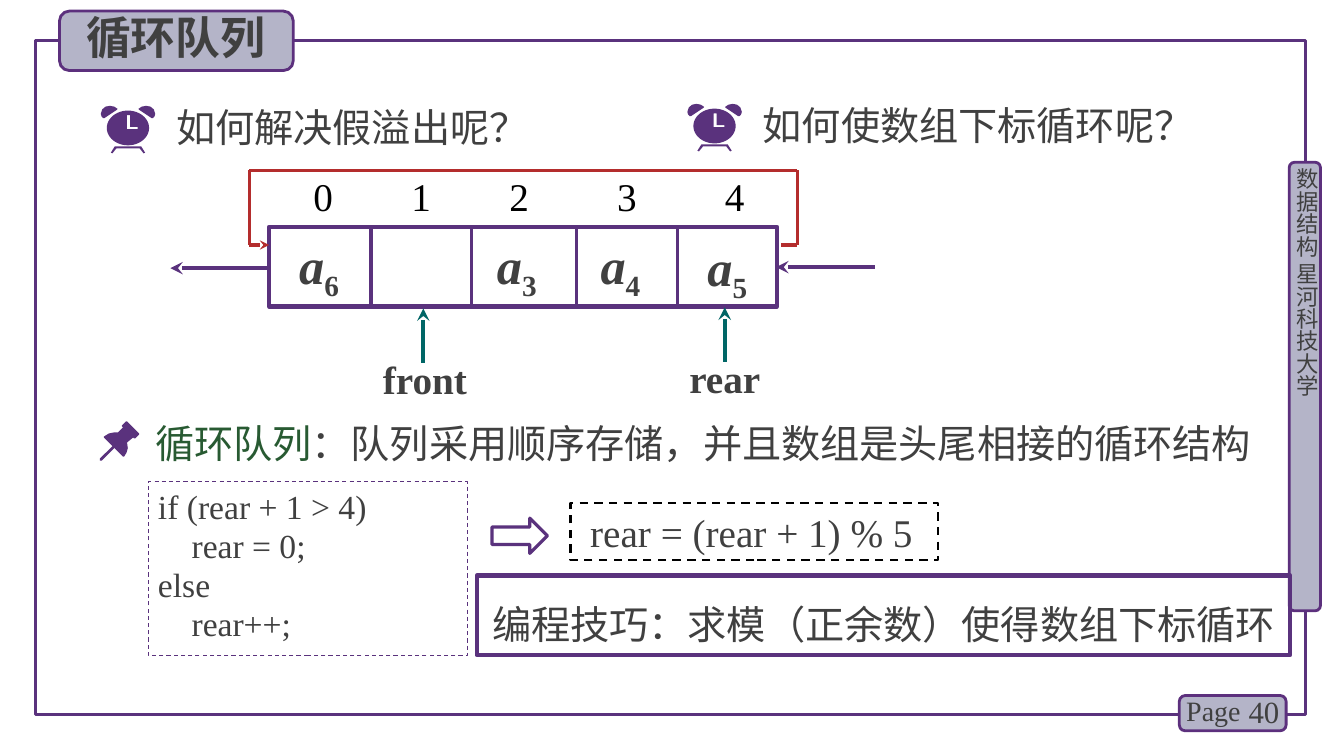
from math import cos, pi, sin

from lxml import etree
from pptx import Presentation
from pptx.dml.color import RGBColor
from pptx.enum.dml import MSO_LINE
from pptx.enum.shapes import MSO_CONNECTOR, MSO_SHAPE
from pptx.enum.text import MSO_ANCHOR, PP_ALIGN
from pptx.oxml.ns import qn
from pptx.util import Pt

PURPLE = RGBColor(0x5A, 0x32, 0x7D)
BADGE_PURPLE = RGBColor(0x5C, 0x30, 0x7D)
BADGE_FILL = RGBColor(0xB4, 0xB4, 0xC8)
GREY = RGBColor(0x40, 0x40, 0x40)
BLACK = RGBColor(0, 0, 0)
TEAL = RGBColor(0, 0x66, 0x66)
RED = RGBColor(0xB4, 0x2D, 0x2D)
GREEN = RGBColor(0x28, 0x5A, 0x32)
SANS, SERIF = "Noto Sans CJK SC", "Times New Roman"
RECT, ROUND, ARROW = MSO_SHAPE.RECTANGLE, MSO_SHAPE.ROUNDED_RECTANGLE, MSO_SHAPE.RIGHT_ARROW
STRAIGHT = MSO_CONNECTOR.STRAIGHT
DASH = MSO_LINE.DASH
LEFT, CENTER, RIGHT = PP_ALIGN.LEFT, PP_ALIGN.CENTER, PP_ALIGN.RIGHT
TOP, MIDDLE = MSO_ANCHOR.TOP, MSO_ANCHOR.MIDDLE

deck = Presentation()
deck.slide_width, deck.slide_height = Pt(960), Pt(540)
page = deck.slides.add_slide(deck.slide_layouts[6])
shapes = page.shapes


def write(box, lines, size, font=SERIF, color=GREY, bold=False, align=LEFT,
          anchor=TOP, spacing=None):
    """Fill a box with (indent, text) lines in one style; return its paragraphs."""
    frame = box.text_frame
    frame.word_wrap = True
    frame.vertical_anchor = anchor
    for number, (indent, text) in enumerate(lines):
        para = frame.add_paragraph() if number else frame.paragraphs[0]
        para.alignment = align
        if spacing:
            para.line_spacing = Pt(spacing)
        para.font.size, para.font.bold, para.font.name = Pt(size), bold, font
        para.font.color.rgb = color
        properties = para._p.get_or_add_pPr()
        if indent:
            properties.set("marL", str(Pt(indent)))
        etree.SubElement(properties.find(qn("a:defRPr")), qn("a:ea"), typeface=font)
        para.add_run().text = text
    return frame.paragraphs


def draw_icon(left, top, *contours):
    """Draw closed contours, given in points from left and top, as one filled shape."""
    placed = [[((left + x) * 100, (top + y) * 100) for x, y in contour]
              for contour in contours]
    builder = shapes.build_freeform(*placed[0][0], scale=Pt(1) / 100)
    builder.add_line_segments(placed[0][1:])
    for contour in placed[1:]:
        builder.move_to(*contour[0])
        builder.add_line_segments(contour[1:])
    icon = builder.convert_to_shape()
    icon.shadow.inherit = False
    icon.fill.solid()
    icon.fill.fore_color.rgb = PURPLE
    icon.line.fill.background()


# Frame, badges and boxes
boxes = {}
for name, kind, left, top, width, height, fill, color, weight, dash in (
    ("frame", RECT, 25.2, 28.8, 907.2, 481.7, None, PURPLE, 2.25, None),
    ("sidebar", ROUND, 920.9, 115.9, 22.3, 320.4, BADGE_FILL, BADGE_PURPLE, 2, None),
    ("page badge", ROUND, 842.4, 496.8, 76.3, 25.2, BADGE_FILL, BADGE_PURPLE, 2, None),
    ("title badge", ROUND, 42.5, 7.9, 167, 42.5, BADGE_FILL, BADGE_PURPLE, 2, None),
    ("code", RECT, 105.8, 344.2, 228.2, 123.8, None, PURPLE, 0.75, DASH),
    ("tip", RECT, 340.6, 411.1, 581, 56.9, None, PURPLE, 3, None),
    ("formula", RECT, 407.5, 359.3, 262.8, 41, None, BLACK, 1.5, DASH),
    ("implies", ARROW, 351.4, 370.1, 39.6, 25.2, None, PURPLE, 2.25, None),
    ("queue", RECT, 192.2, 162, 362.9, 56.9, None, PURPLE, 3, None),
):
    box = shapes.add_shape(kind, Pt(left), Pt(top), Pt(width), Pt(height))
    box.shadow.inherit = False
    if fill:
        box.fill.solid()
        box.fill.fore_color.rgb = fill
    else:
        box.fill.background()
    box.line.color.rgb = color
    box.line.width = Pt(weight)
    if dash:
        box.line.dash_style = dash
    boxes[name] = box

code_lines = [(0, "if (rear + 1 > 4)"), (24, "rear = 0;"), (0, "else"), (24, "rear++;")]
write(boxes["code"], code_lines, 24, spacing=28)
write(boxes["formula"], [(7, "rear = (rear + 1) % 5")], 28)
write(boxes["tip"], [(0, "编程技巧：求模（正余数）使得数组下标循环")], 28, SANS,
      align=CENTER, anchor=MIDDLE, spacing=45)

# Queue dividers, pointers and the red wrap-around path
dividers = [(x, 162, x, 218.9, PURPLE, 2.25, False) for x in (265, 337, 411.8, 483.8)]
for x1, y1, x2, y2, color, weight, has_head in dividers + [
    (625, 190.8, 554.4, 190.8, PURPLE, 3, True),
    (192.2, 191.5, 121.7, 191.5, PURPLE, 3, True),
    (517.7, 258.5, 517.7, 219.6, TEAL, 3, True),
    (302.4, 259.2, 302.4, 220.3, TEAL, 3, True),
    (178.2, 121.7, 569.5, 121.7, RED, 2.25, False),
    (569.5, 121.7, 569.5, 175, RED, 2.25, False),
    (558, 175, 569.5, 175, RED, 2.25, False),
    (178.2, 121.7, 178.2, 175, RED, 2.25, False),
    (178.2, 175, 192.2, 175, RED, 2.25, True),
]:
    line = shapes.add_connector(STRAIGHT, Pt(x1), Pt(y1), Pt(x2), Pt(y2))
    line.line.color.rgb = color
    line.line.width = Pt(weight)
    if has_head:
        etree.SubElement(line.line._get_or_add_ln(), qn("a:tailEnd"), type="stealth")
    etree.SubElement(line._element.spPr, qn("a:effectLst"))

# Alarm clocks and pushpin
bell = [(6.5, 0), (3.4, 0.6), (1, 2.6), (0, 5.8), (0.5, 7.5), (1.6, 8.8),
        (2.6, 8.8), (11.6, 2.8), (12, 2.2), (9.6, 0.6)]
other_bell = [(38.9 - x, y) for x, y in bell]
legs = [(7.2, 33.5), (10, 29), (28.9, 29), (31.7, 33.5), (30.6, 34),
        (27.8, 30.4), (11.2, 30.4), (8.3, 34)]
face = [(19.4 + 15.1 * cos(step * pi / 24), 15.8 + 12.4 * sin(step * pi / 24))
        for step in range(48)]
hands = [(18.7, 6.7), (20.9, 6.7), (20.9, 15.1), (26.4, 15.1), (26.4, 16.6), (18.7, 16.6)]
for left, top in ((72, 75.6), (491, 74.2)):
    for contours in ([legs], [bell], [other_bell], [face, hands]):
        draw_icon(left, top, *contours)

pin_head = [(28.1, 8.6), (19.4, 0), (18.7, 0), (15.8, 2.9), (15.8, 3.6), (16.6, 4.3),
            (13, 7.9), (10.1, 7.9), (6.5, 8.6), (2.9, 10.8), (2.9, 11.5), (16.6, 25.2),
            (17.3, 25.2), (19.1, 22.3), (20, 19), (19.4, 15.1), (23.8, 11.5),
            (24.5, 12.2), (25.2, 12.2), (28.1, 9.4)]
needle = [(0, 28.1), (0, 26.6), (9.4, 17.3), (10.8, 17.3), (10.8, 18.7), (1.4, 28.1)]
for contour in (pin_head, needle):
    draw_icon(71.3, 301, contour)

# Free-standing text
labels = {}
for name, text, left, top, width, height, size, font, color, bold, align, anchor in (
    ("title", "循环队列", 51.1, 3.6, 149, 46.1, 32, SANS, GREY, True, CENTER, TOP),
    ("overflow", "如何解决假溢出呢？", 118.8, 70.6, 332, 41, 28, SANS, GREY, False, LEFT, TOP),
    ("wrap", "如何使数组下标循环呢？", 537.8, 69.1, 360, 41, 28, SANS, GREY, False, LEFT, TOP),
    ("indexes", "0\t1\t2\t3\t4", 216.7, 119.5, 334.8, 41, 28, SERIF, BLACK, False, LEFT, TOP),
    ("rear", "rear", 485.3, 249.8, 81.4, 41, 28, SERIF, GREY, True, LEFT, TOP),
    ("front", "front", 266.4, 250.6, 81.4, 41, 28, SERIF, GREY, True, LEFT, TOP),
    ("definition", "循环队列", 103.7, 295.9, 818.6, 41, 28, SANS, GREEN, False, LEFT, TOP),
    ("course", "数据结构 星河科技大学", 923.8, 120.2, 19.4, 323.3, 16, SANS, GREY, False,
     LEFT, MIDDLE),
    ("number", "40", 878.4, 493.9, 42.5, 28.8, 22, SERIF, GREY, False, RIGHT, MIDDLE),
    ("page", "Page", 840.2, 491.8, 56.2, 31.7, 20, SERIF, GREY, False, LEFT, TOP),
):
    box = shapes.add_textbox(Pt(left), Pt(top), Pt(width), Pt(height))
    labels[name] = write(box, [(0, text)], size, font, color, bold, align, anchor)[0]
    if name == "course":
        frame = box.text_frame
        frame.margin_left = frame.margin_right = frame.margin_top = frame.margin_bottom = 0
        frame._txBody.bodyPr.set("vert", "eaVert")

span = labels["definition"].add_run()
span.text = "：队列采用顺序存储，并且数组是头尾相接的循环结构"
span.font.color.rgb = GREY

tab_list = etree.Element(qn("a:tabLst"))
for position in (70, 140, 217, 294):
    etree.SubElement(tab_list, qn("a:tab"), pos=str(Pt(position)), algn="l")
labels["indexes"]._p.pPr.find(qn("a:defRPr")).addprevious(tab_list)

# Queue elements
for subscript, left, top in (("6", 206.6, 163.4), ("3", 347.8, 163.4),
                             ("4", 421.9, 163.4), ("5", 498.2, 164.9)):
    box = shapes.add_textbox(Pt(left), Pt(top), Pt(46.1), Pt(50.4))
    para = write(box, [(0, "a")], 36, bold=True)[0]
    para.runs[0].font.italic = True
    span = para.add_run()
    span.text = subscript
    span.font._element.set("baseline", "-25000")

deck.save("out.pptx")
